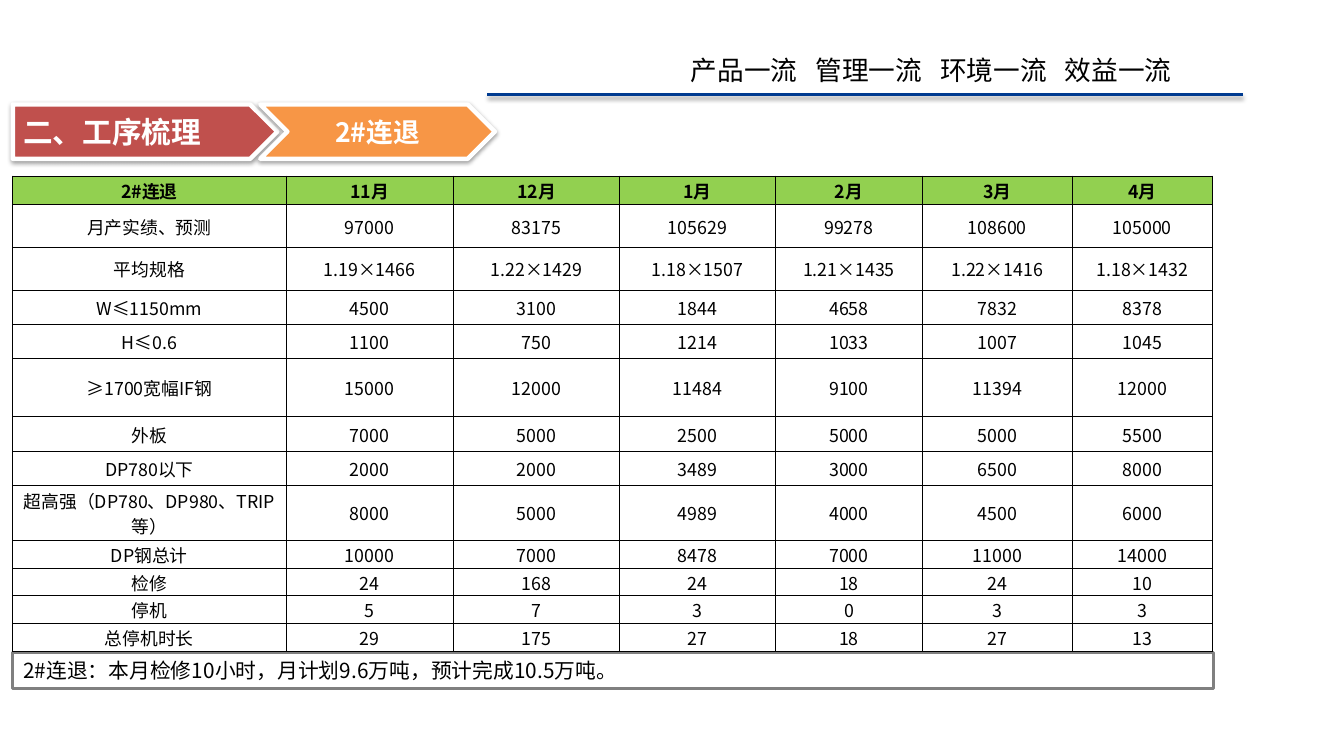
from lxml import etree
from pptx import Presentation
from pptx.dml.color import RGBColor
from pptx.enum.shapes import MSO_CONNECTOR, MSO_SHAPE
from pptx.enum.text import MSO_ANCHOR, PP_ALIGN
from pptx.oxml.ns import qn
from pptx.util import Inches, Pt

LEFT, CENTER = PP_ALIGN.LEFT, PP_ALIGN.CENTER
TOP, MIDDLE = MSO_ANCHOR.TOP, MSO_ANCHOR.MIDDLE
PENTAGON, CHEVRON, RECTANGLE = MSO_SHAPE.PENTAGON, MSO_SHAPE.CHEVRON, MSO_SHAPE.RECTANGLE
STRAIGHT = MSO_CONNECTOR.STRAIGHT

COLORS = {
    "ink": "000000",
    "paper": "FFFFFF",
    "rule": "003B90",
    "section": "C0504D",
    "process": "F79646",
    "header": "92D050",
    "frame": "808080",
}
FONT = "Noto Sans CJK SC"
GRID_COLUMNS, GRID_ROWS = 126, 70.9

MOTTOES = ["产品一流", "管理一流", "环境一流", "效益一流"]
MOTTO_PITCH = 11.68
COLUMN_WIDTHS = [25.6, 15.7, 15.6, 14.6, 13.8, 14, 13.2]
TABLE_ROWS = [
    (2.7, "2#连退", "11月 12月 1月 2月 3月 4月"),
    (4, "月产实绩、预测", "97000 83175 105629 99278 108600 105000"),
    (4, "平均规格", "1.19×1466 1.22×1429 1.18×1507 1.21×1435 1.22×1416 1.18×1432"),
    (3.2, "W≤1150mm", "4500 3100 1844 4658 7832 8378"),
    (3.2, "H≤0.6", "1100 750 1214 1033 1007 1045"),
    (5.5, "≥1700宽幅IF钢", "15000 12000 11484 9100 11394 12000"),
    (3.2, "外板", "7000 5000 2500 5000 5000 5500"),
    (3.2, "DP780以下", "2000 2000 3489 3000 6500 8000"),
    (5.2, "超高强（DP780、DP980、TRIP等）", "8000 5000 4989 4000 4500 6000"),
    (2.6, "DP钢总计", "10000 7000 8478 7000 11000 14000"),
    (2.6, "检修", "24 168 24 18 24 10"),
    (2.6, "停机", "5 7 3 0 3 3"),
    (2.6, "总停机时长", "29 175 27 18 27 13"),
]


class SlideBuilder:
    """Draws styled elements on one slide, measured in grid columns and rows."""

    def __init__(self, presentation):
        self.width = presentation.slide_width
        self.height = presentation.slide_height
        self.slide = presentation.slides.add_slide(presentation.slide_layouts[6])

    def across(self, columns):
        return round(self.width * columns / GRID_COLUMNS)

    def down(self, rows):
        return round(self.height * rows / GRID_ROWS)

    def place(self, left, top, width, height):
        return self.across(left), self.down(top), self.across(width), self.down(height)

    def color(self, name):
        return RGBColor.from_string(COLORS[name])

    def add_text(self, paragraph, text, size, color="ink", bold=False, align=LEFT):
        paragraph.alignment = align
        run = paragraph.add_run()
        run.text = text
        run.font.size = Pt(size)
        run.font.bold = bold
        run.font.name = FONT
        run.font.color.rgb = self.color(color)
        east_asian = etree.SubElement(run.font._element, qn("a:ea"))
        east_asian.set("typeface", FONT)

    def outline(self, shape, color, width):
        shape.line.color.rgb = self.color(color)
        shape.line.width = Pt(width)

    def effects(self, shape, shadow):
        effect_list = etree.SubElement(shape.element.spPr, qn("a:effectLst"))
        if shadow:
            outer = etree.SubElement(
                effect_list, qn("a:outerShdw"), blurRad=str(Pt(3.1)),
                dist=str(Pt(1.6)), dir="5400000", rotWithShape="0")
            tint = etree.SubElement(outer, qn("a:srgbClr"), val=COLORS["ink"])
            etree.SubElement(tint, qn("a:alpha"), val="38000")

    def tabbed_text(self, box, items, pitch, size):
        frame = self.slide.shapes.add_textbox(*self.place(*box)).text_frame
        frame.word_wrap = True
        frame.vertical_anchor = TOP
        paragraph = frame.paragraphs[0]
        tabs = etree.SubElement(paragraph._p.get_or_add_pPr(), qn("a:tabLst"))
        for index in range(1, len(items)):
            etree.SubElement(tabs, qn("a:tab"), pos=str(self.across(index * pitch)), algn="l")
        self.add_text(paragraph, "\t".join(items), size)

    def rule(self, left, right, row, color, width):
        y = self.down(row)
        line = self.slide.shapes.add_connector(
            STRAIGHT, self.across(left), y, self.across(right), y)
        self.outline(line, color, width)
        self.effects(line, True)

    def shape(self, kind, box, text, size, fill, line, line_width,
              color="ink", bold=False, align=LEFT, shadow=False):
        shape = self.slide.shapes.add_shape(kind, *self.place(*box))
        shape.fill.solid()
        shape.fill.fore_color.rgb = self.color(fill)
        self.outline(shape, line, line_width)
        self.effects(shape, shadow)
        frame = shape.text_frame
        frame.word_wrap = True
        frame.vertical_anchor = MIDDLE
        self.add_text(frame.paragraphs[0], text, size, color, bold, align)

    def banner(self, kind, box, text, size, fill, align):
        self.shape(kind, box, text, size, fill, "paper", 3, "paper", True, align, True)

    def cell(self, cell, text, header):
        cell.margin_left = cell.margin_right = cell.margin_top = self.across(0.1)
        cell.margin_bottom = 0
        cell.vertical_anchor = MIDDLE
        if header:
            cell.fill.solid()
            cell.fill.fore_color.rgb = self.color("header")
        else:
            cell.fill.background()
        properties = cell._tc.get_or_add_tcPr()
        for index, side in enumerate(("a:lnL", "a:lnR", "a:lnT", "a:lnB")):
            border = etree.Element(qn(side), w=str(Pt(0.5)))
            fill = etree.SubElement(border, qn("a:solidFill"))
            etree.SubElement(fill, qn("a:srgbClr"), val=COLORS["ink"])
            properties.insert(index, border)
        self.add_text(cell.text_frame.paragraphs[0], text, 12, bold=header, align=CENTER)

    def table(self, left, top, widths, rows):
        height = sum(row[0] for row in rows)
        table = self.slide.shapes.add_table(
            len(rows), len(widths), *self.place(left, top, sum(widths), height)).table
        table.first_row = table.horz_banding = False
        for column, width in zip(table.columns, widths):
            column.width = self.across(width)
        for index, (row_height, label, values) in enumerate(rows):
            table.rows[index].height = self.down(row_height)
            for cell, text in zip(table.rows[index].cells, [label, *values.split()]):
                self.cell(cell, text, index == 0)


def main():
    presentation = Presentation()
    presentation.slide_width = Inches(12.6)
    presentation.slide_height = Inches(7.09)
    builder = SlideBuilder(presentation)
    builder.tabbed_text((63.8, 4.6, 57.7, 4), MOTTOES, MOTTO_PITCH, 18)
    builder.rule(45.7, 116.5, 8.9, "rule", 2)
    builder.banner(PENTAGON, (1.2, 9.8, 24.8, 5.1), "二、工序梳理", 20, "section", LEFT)
    builder.banner(CHEVRON, (24.4, 9.8, 22, 5.1), "2#连退", 18, "process", CENTER)
    builder.shape(RECTANGLE, (1.2, 61.2, 112.6, 3.4),
                  "2#连退：本月检修10小时，月计划9.6万吨，预计完成10.5万吨。",
                  14, "paper", "frame", 2)
    builder.table(1.2, 16.5, COLUMN_WIDTHS, TABLE_ROWS)
    presentation.save("out.pptx")


if __name__ == "__main__":
    main()
